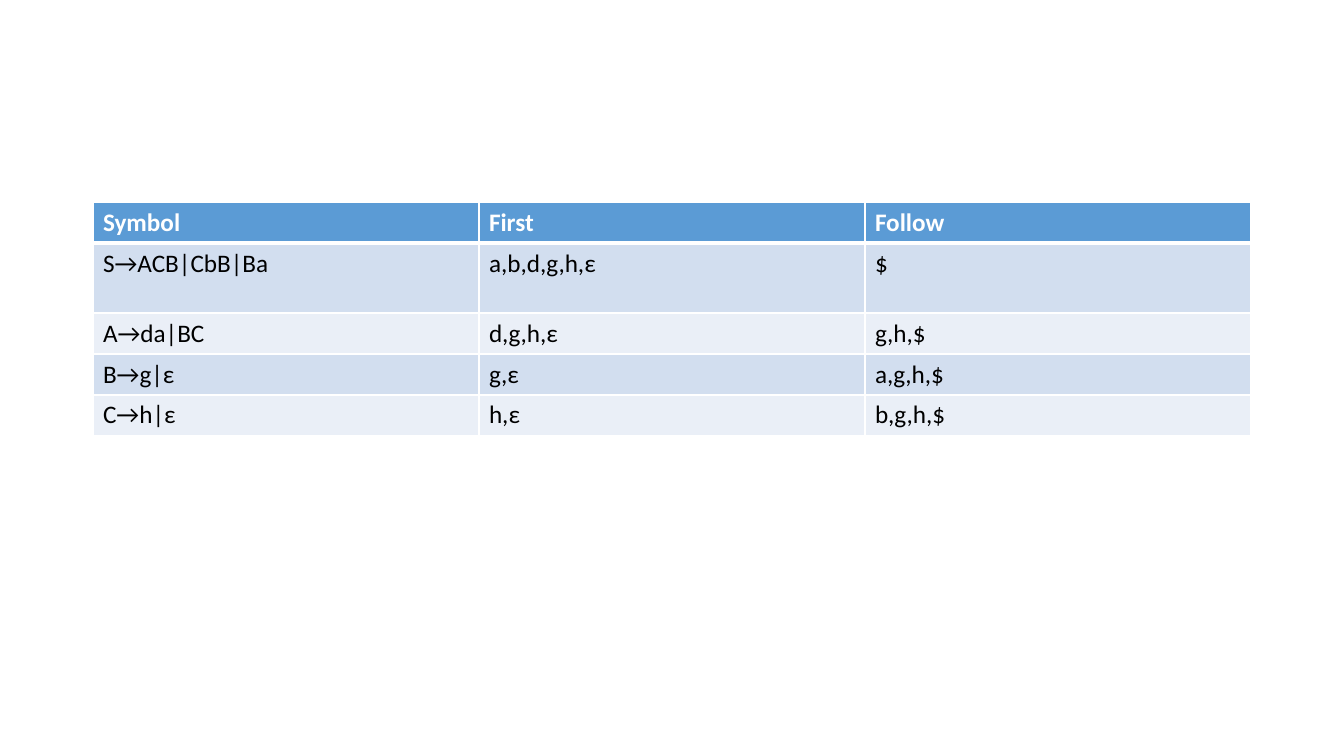
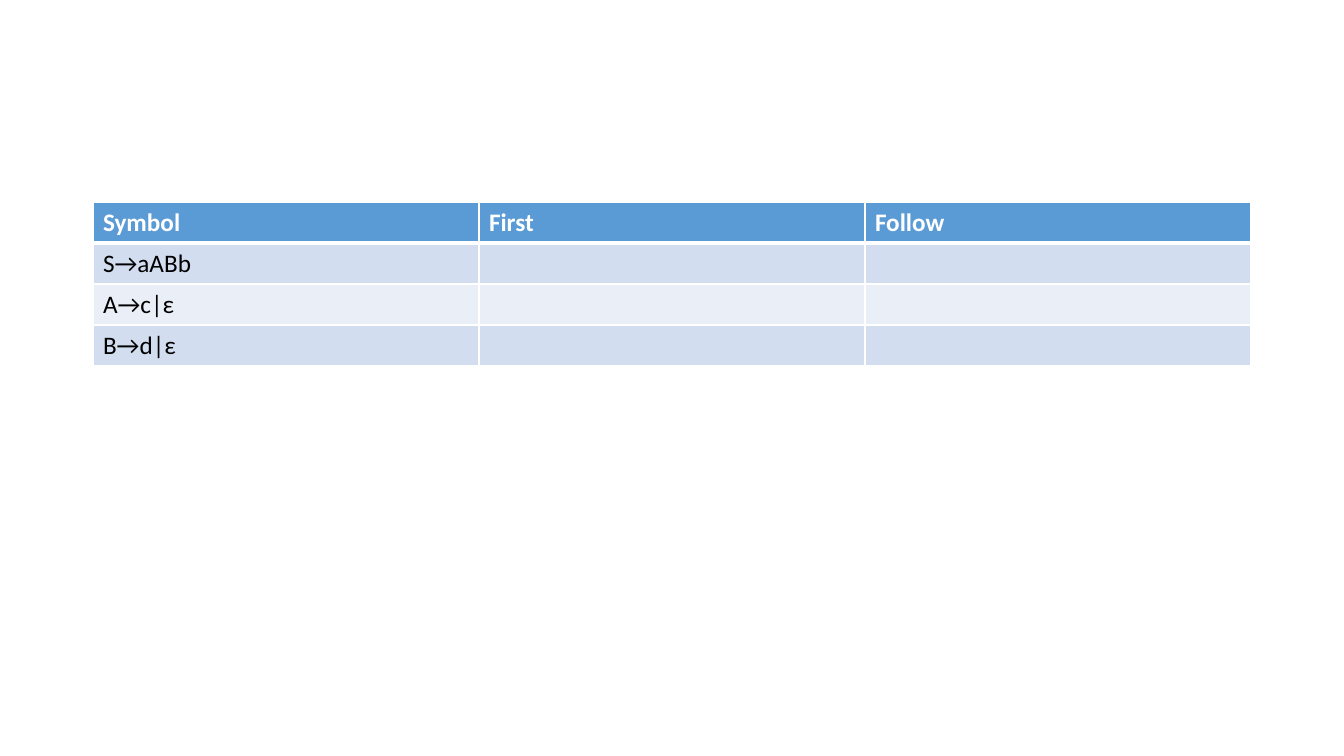
from lxml.etree import SubElement
from pptx import Presentation
from pptx.dml.color import RGBColor
from pptx.oxml.ns import qn
from pptx.util import Emu, Pt

SCALE = 914400 / 100.8
COLORS = {
    "head": "5B9BD5",
    "odd": "D2DEEF",
    "even": "EAEFF7",
    "white": "FFFFFF",
    "black": "000000",
}
FONT = "Calibri"
LEFT, TOP, WIDTH = 93, 202, 1158
ROW, TALL = 41, 70
HEADS = ("Symbol", "First", "Follow")

# Each slide: its grammar rows and the row numbers that are tall
SLIDES = [
    (
        [
            ("S→ACB|CbB|Ba", "a,b,d,g,h,ε", "$"),
            ("A→da|BC", "d,g,h,ε", "g,h,$"),
            ("B→g|ε", "g,ε", "a,g,h,$"),
            ("C→h|ε", "h,ε", "b,g,h,$"),
        ],
        {1},
    ),
    (
        [("S→aABb", "", ""), ("A→c|ε", "", ""), ("B→d|ε", "", "")],
        set(),
    ),
]


def px(size):
    return Emu(round(size * SCALE))


def color(name):
    return RGBColor.from_string(COLORS[name])


def edge(cell, side, width):
    """Draw one white border; call in the order L, R, T, B."""
    props = cell._tc.get_or_add_tcPr()
    line = SubElement(props, qn(f"a:ln{side}"), w=str(Pt(width)))
    fill = SubElement(line, qn("a:solidFill"))
    SubElement(fill, qn("a:srgbClr"), val=COLORS["white"])


def style(cell, text, row):
    head = row == 0
    widths = {"L": 1, "R": 1, "T": 3 if row == 1 else 1, "B": 3 if head else 1}
    for side, width in widths.items():
        edge(cell, side, width)
    cell.fill.solid()
    cell.fill.fore_color.rgb = color("head" if head else "odd" if row % 2 else "even")
    if text:
        run = cell.text_frame.paragraphs[0].add_run()
        run.text = text
        font = run.font
        font.name, font.size, font.bold = FONT, Pt(18), head
        font.color.rgb = color("white" if head else "black")


def grid(slide, rules, tall, left, top, width):
    rows = [HEADS, *rules]
    sizes = [TALL if row in tall else ROW for row in range(len(rows))]
    table = slide.shapes.add_table(
        len(rows), len(HEADS), px(left), px(top), px(width), px(sum(sizes))
    ).table
    for column in table.columns:
        column.width = px(width / len(HEADS))
    for row, (texts, size) in enumerate(zip(rows, sizes)):
        table.rows[row].height = px(size)
        for col, text in enumerate(texts):
            style(table.cell(row, col), text, row)


def main():
    deck = Presentation()
    deck.slide_width, deck.slide_height = px(1344), px(756)
    blank = deck.slide_layouts[6]
    for rules, tall in SLIDES:
        grid(deck.slides.add_slide(blank), rules, tall, LEFT, TOP, WIDTH)
    deck.save("out.pptx")


if __name__ == "__main__":
    main()
